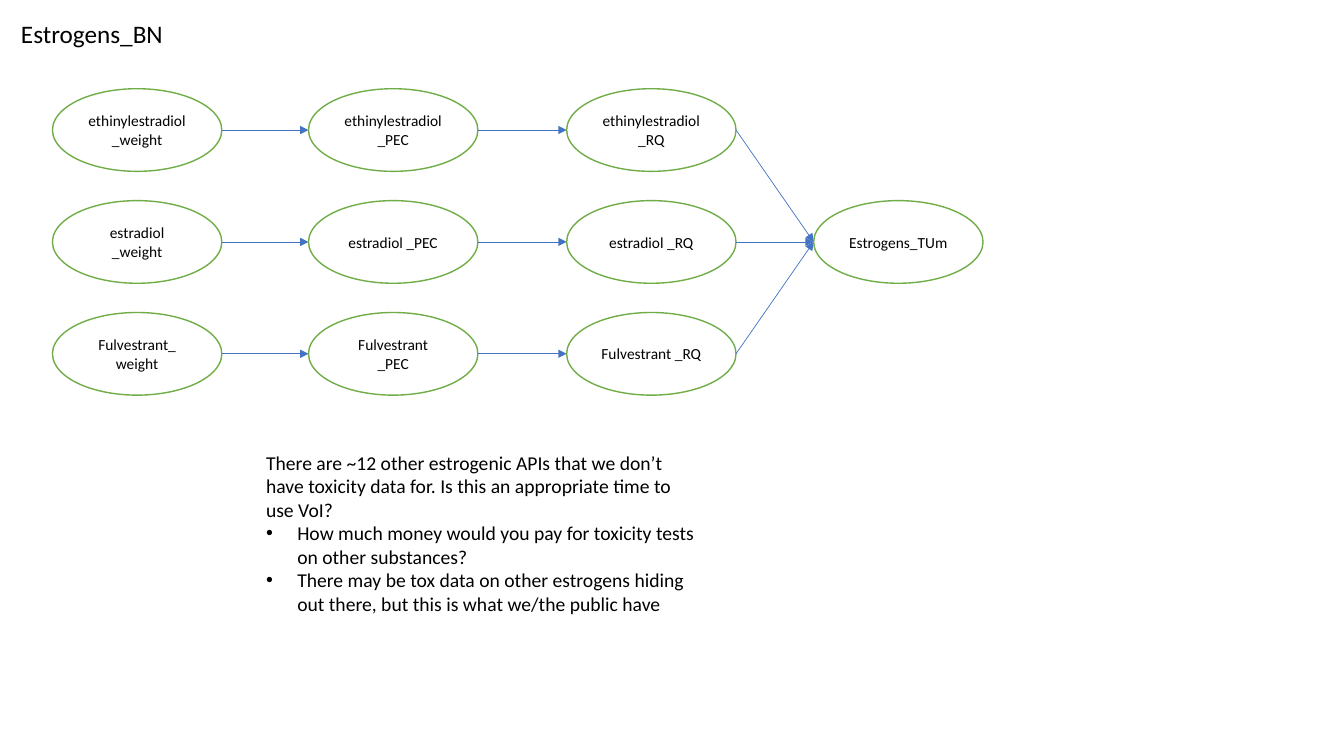
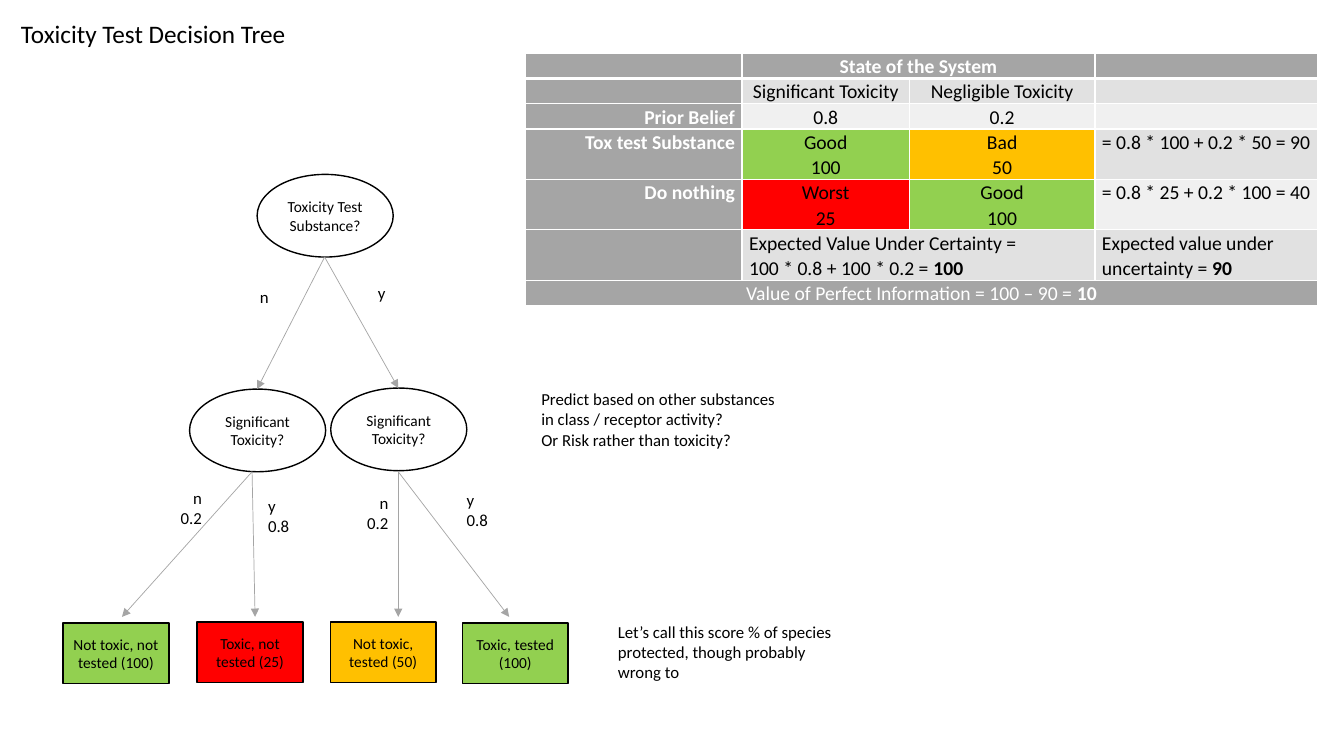
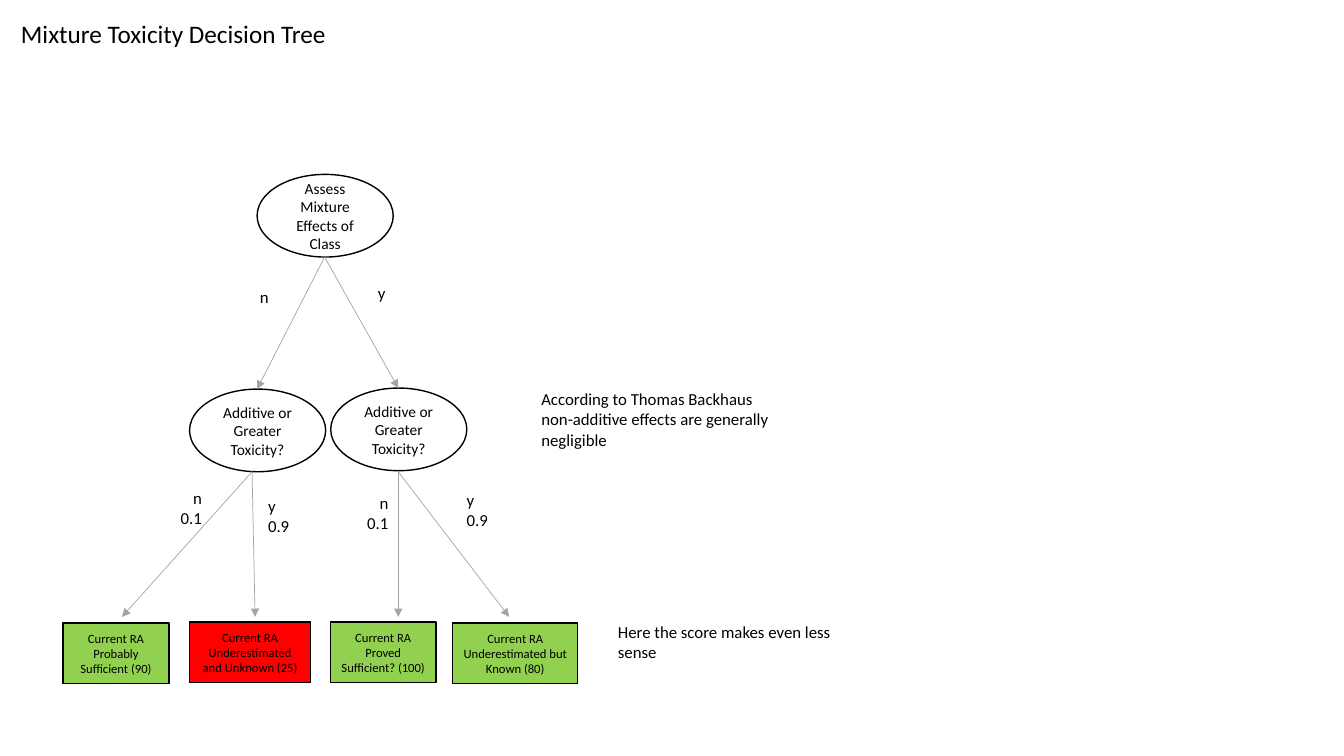
from lxml import etree
from pptx import Presentation
from pptx import util as u
from pptx.dml.color import RGBColor
from pptx.enum import shapes, text
from pptx.oxml import ns

BLACK, WHITE, GREY, BLUE = "000000", "FFFFFF", "A5A5A5", "4472C4"
OUTLINE_GREEN, GREEN, AMBER, RED = "70AD47", "92D050", "FFC000", "FF0000"
BAND_DARK, BAND_LIGHT = "E1E1E1", "F0F0F0"
FONT = "Calibri"
LEFT, CENTER, RIGHT = text.PP_ALIGN.LEFT, text.PP_ALIGN.CENTER, text.PP_ALIGN.RIGHT
OVAL, RECTANGLE = shapes.MSO_SHAPE.OVAL, shapes.MSO_SHAPE.RECTANGLE
NODE_HEIGHT = 0.82


def rgb(color):
    return RGBColor.from_string(color)


def set_all(target, values):
    for name, value in values.items():
        setattr(target, name, value)


def write(frame, lines, size, align=LEFT, color=BLACK, bold=False, spacing=None):
    """Write one paragraph per line; text after a | is bold."""
    for index, line in enumerate(lines):
        paragraph = frame.paragraphs[0] if index == 0 else frame.add_paragraph()
        set_all(paragraph, {"alignment": align, "line_spacing": spacing})
        plain, _, strong = line.partition("|")
        for part, is_bold in ((plain, bold), (strong, True)):
            if part:
                run = paragraph.add_run()
                run.text = part
                set_all(run.font, {"name": FONT, "size": u.Pt(size), "bold": is_bold})
                run.font.color.rgb = rgb(color)


def add_text(slide, left, top, width, height, lines, size=12, align=LEFT, wrap=True):
    box = slide.shapes.add_textbox(*map(u.Inches, (left, top, width, height)))
    set_all(box.text_frame, {"word_wrap": wrap,
                             "auto_size": text.MSO_AUTO_SIZE.SHAPE_TO_FIT_TEXT})
    write(box.text_frame, lines, size, align)
    return box


def add_node(slide, kind, left, top, width, height, lines, size=11, fill=None, line=BLACK):
    shape = slide.shapes.add_shape(kind, *map(u.Inches, (left, top, width, height)))
    shape.shadow.inherit = False
    if fill:
        shape.fill.solid()
        shape.fill.fore_color.rgb = rgb(fill)
    else:
        shape.fill.background()
    shape.line.color.rgb = rgb(line)
    shape.line.width = u.Pt(1)
    set_all(shape.text_frame, {"word_wrap": True,
                               "vertical_anchor": text.MSO_ANCHOR.MIDDLE})
    write(shape.text_frame, lines, size, CENTER)


def add_arrow(slide, start, end, color):
    arrow = slide.shapes.add_connector(shapes.MSO_CONNECTOR.STRAIGHT,
                                       *map(u.Inches, (*start, *end)))
    arrow.line.color.rgb = rgb(color)
    arrow.line.width = u.Pt(0.5)
    etree.SubElement(arrow.line._get_or_add_ln(), ns.qn("a:tailEnd"), type="triangle")
    etree.SubElement(arrow._element.spPr, ns.qn("a:effectLst"))


def add_bullet(paragraph, indent=0.31):
    properties = paragraph._p.get_or_add_pPr()
    properties.set("marL", str(u.Inches(indent)))
    properties.set("indent", str(-u.Inches(indent)))
    etree.SubElement(properties, ns.qn("a:buFont"), typeface="Arial")
    etree.SubElement(properties, ns.qn("a:buChar"), char="•")


def add_titled_slide(presentation, title, width):
    slide = presentation.slides.add_slide(presentation.slide_layouts[6])
    add_text(slide, 0.11, 0.13, width, 0.4, [title], size=18, wrap=False)
    return slide


def add_network(slide):
    width, pitch, first_top = 1.68, 1.11, 0.88
    columns = (0.52, 3.06, 5.62)
    result_left, result_top = 8.07, first_top + pitch
    rows = (
        ("ethinylestradiol _weight", "ethinylestradiol _PEC", "ethinylestradiol _RQ"),
        ("estradiol\n_weight", "estradiol _PEC", "estradiol _RQ"),
        ("Fulvestrant_\nweight", "Fulvestrant _PEC", "Fulvestrant _RQ"),
    )
    result_middle = result_top + NODE_HEIGHT / 2
    for row, labels in enumerate(rows):
        top = first_top + row * pitch
        middle = top + NODE_HEIGHT / 2
        targets = [(left, middle) for left in columns[1:]] + [(result_left, result_middle)]
        for left, label, target in zip(columns, labels, targets):
            add_node(slide, OVAL, left, top, width, NODE_HEIGHT, label.split("\n"),
                     line=OUTLINE_GREEN)
            add_arrow(slide, (left + width, middle), target, BLUE)
    add_node(slide, OVAL, result_left, result_top, width, NODE_HEIGHT, ["Estrogens_TUm"],
             line=OUTLINE_GREEN)


def add_tree(slide, root, question, chances, outcomes, size):
    """Draw a root, two chance nodes and four outcomes of (text, fill, width)."""
    width = 1.35
    for left, top, label in ((2.55, 1.73, root), (1.88, 3.86, question), (3.28, 3.85, question)):
        add_node(slide, OVAL, left, top, width, NODE_HEIGHT, [label])

    root_end, no_end, yes_end = (3.22, 2.55), (2.5, 4.68), (3.95, 4.68)
    for start, end in ((root_end, (2.55, 3.86)), (root_end, (3.95, 3.85)),
                       (no_end, (1.21, 6.12)), (no_end, (2.53, 6.12)),
                       (yes_end, (3.95, 6.12)), (yes_end, (5.05, 6.12))):
        add_arrow(slide, start, end, GREY)

    no, yes = (["n", chances[0]], ["y", chances[1]])
    for left, top, lines, align in ((2.48, 2.8, ["n"], LEFT), (3.65, 2.76, ["y"], LEFT),
                                    (1.55, 4.79, no, RIGHT), (2.56, 4.87, yes, LEFT),
                                    (3.4, 4.84, no, RIGHT), (4.53, 4.81, yes, LEFT)):
        add_text(slide, left, top, 0.55, 0.1 + 0.2 * len(lines), lines, align=align)

    places = ((1.15, 6.18), (2.48, 6.17), (3.8, 6.17), (5.11, 6.18))
    for (center, top), (label, fill, box_width) in zip(places, outcomes):
        add_node(slide, RECTANGLE, center - box_width / 2, top, box_width, 0.6, [label],
                 size, fill)


def add_border(cell, side, points):
    line = etree.SubElement(cell._tc.get_or_add_tcPr(), ns.qn(f"a:ln{side}"),
                            w=str(u.Pt(points)))
    fill = etree.SubElement(line, ns.qn("a:solidFill"))
    etree.SubElement(fill, ns.qn("a:srgbClr"), val=WHITE)


def format_cell(cell, row, lines, fill, align):
    set_all(cell, {"margin_left": u.Inches(0.07), "margin_right": u.Inches(0.07),
                   "margin_top": 0, "margin_bottom": 0})
    for side in "LRTB":
        under_header = (row, side) in ((0, "B"), (1, "T"))
        add_border(cell, side, 3 if under_header else 1)
    cell.fill.solid()
    cell.fill.fore_color.rgb = rgb(fill)
    on_grey = fill == GREY
    write(cell.text_frame, lines, 14, align, WHITE if on_grey else BLACK,
          bold=on_grey and row < 6, spacing=1.07)
    if lines == [""]:
        etree.SubElement(cell.text_frame.paragraphs[0]._p, ns.qn("a:endParaRPr"), sz="1400")


def add_value_table(slide):
    widths = (2.15, 1.66, 1.84, 2.21)
    heights = (0.21, 0.21, 0.21, 0.38, 0.38, 0.39, 0.21)
    blank = ("", GREY)
    rows = (
        (blank, ("State of the System", GREY), blank, blank),
        (blank, ("Significant Toxicity", BAND_DARK), ("Negligible Toxicity", BAND_DARK),
         ("", BAND_DARK)),
        (("Prior Belief", GREY), ("0.8", BAND_LIGHT), ("0.2", BAND_LIGHT), ("", BAND_LIGHT)),
        (("Tox test Substance", GREY), ("Good\n100", GREEN), ("Bad\n50", AMBER),
         ("= 0.8 * 100 + 0.2 * 50 = 90", BAND_DARK)),
        (("Do nothing", GREY), ("Worst\n25", RED), ("Good\n100", GREEN),
         ("= 0.8 * 25 + 0.2 * 100 = 40", BAND_LIGHT)),
        (blank, ("Expected Value Under Certainty =\n100 * 0.8 + 100 * 0.2 = |100", BAND_DARK),
         ("", BAND_DARK), ("Expected value under uncertainty = |90", BAND_DARK)),
        (("Value of Perfect Information = 100 – 90 = |10", GREY), blank, blank, blank),
    )
    aligns = (RIGHT, CENTER, CENTER, LEFT)
    special_aligns = {(5, 1): LEFT, (6, 0): CENTER}
    table = slide.shapes.add_table(len(rows), len(widths), *map(
        u.Inches, (5.21, 0.53, sum(widths), sum(heights)))).table
    set_all(table, {"first_row": False, "horz_banding": False})
    for column, width in zip(table.columns, widths):
        column.width = u.Inches(width)
    for row, height in zip(table.rows, heights):
        row.height = u.Inches(height)
    for row, cells in enumerate(rows):
        for column, (label, fill) in enumerate(cells):
            align = special_aligns.get((row, column), aligns[column])
            format_cell(table.cell(row, column), row, label.split("\n"), fill, align)
    for row, first, last in ((0, 1, 2), (5, 1, 2), (6, 0, 3)):
        table.cell(row, first).merge(table.cell(row, last))


def main():
    presentation = Presentation()
    set_all(presentation, {"slide_width": u.Inches(13.33), "slide_height": u.Inches(7.5)})

    slide = add_titled_slide(presentation, "Estrogens_BN", 1.76)
    add_network(slide)
    box = add_text(slide, 2.54, 4.42, 4.45, 1.75, [
        "There are ~12 other estrogenic APIs that we don’t have toxicity data for. "
        "Is this an appropriate time to use VoI?",
        "How much money would you pay for toxicity tests on other substances?",
        "There may be tox data on other estrogens hiding out there, "
        "but this is what we/the public have",
    ], size=14)
    for paragraph in box.text_frame.paragraphs[1:]:
        add_bullet(paragraph)

    slide = add_titled_slide(presentation, "Toxicity Test Decision Tree", 3)
    add_tree(slide, "Toxicity Test Substance?", "Significant Toxicity?", ("0.2", "0.8"), (
        ("Not toxic, not tested (100)", GREEN, 1.05),
        ("Toxic, not tested (25)", RED, 1.05),
        ("Not toxic, tested (50)", AMBER, 1.05),
        ("Toxic, tested (100)", GREEN, 1.05),
    ), size=11)
    add_text(slide, 5.27, 3.81, 2.52, 0.91, [
        "Predict based on other substances in class / receptor activity?",
        "Or Risk rather than toxicity?"])
    add_text(slide, 6.03, 6.12, 2.52, 0.71, [
        "Let’s call this score % of species protected, though probably wrong to"])
    add_value_table(slide)

    slide = add_titled_slide(presentation, "Mixture Toxicity Decision Tree", 3.37)
    add_tree(slide, "Assess Mixture Effects of Class", "Additive or Greater Toxicity?",
             ("0.1", "0.9"), (
                 ("Current RA Probably Sufficient (90)", GREEN, 1.05),
                 ("Current RA Underestimated and Unknown (25)", RED, 1.2),
                 ("Current RA Proved Sufficient? (100)", GREEN, 1.05),
                 ("Current RA Underestimated but Known (80)", GREEN, 1.24),
             ), size=9)
    add_text(slide, 5.27, 3.81, 2.52, 0.71, [
        "According to Thomas Backhaus non-additive effects are generally negligible"])
    add_text(slide, 6.03, 6.12, 2.52, 0.5, ["Here the score makes even less sense"])

    presentation.save("out.pptx")


if __name__ == "__main__":
    main()
